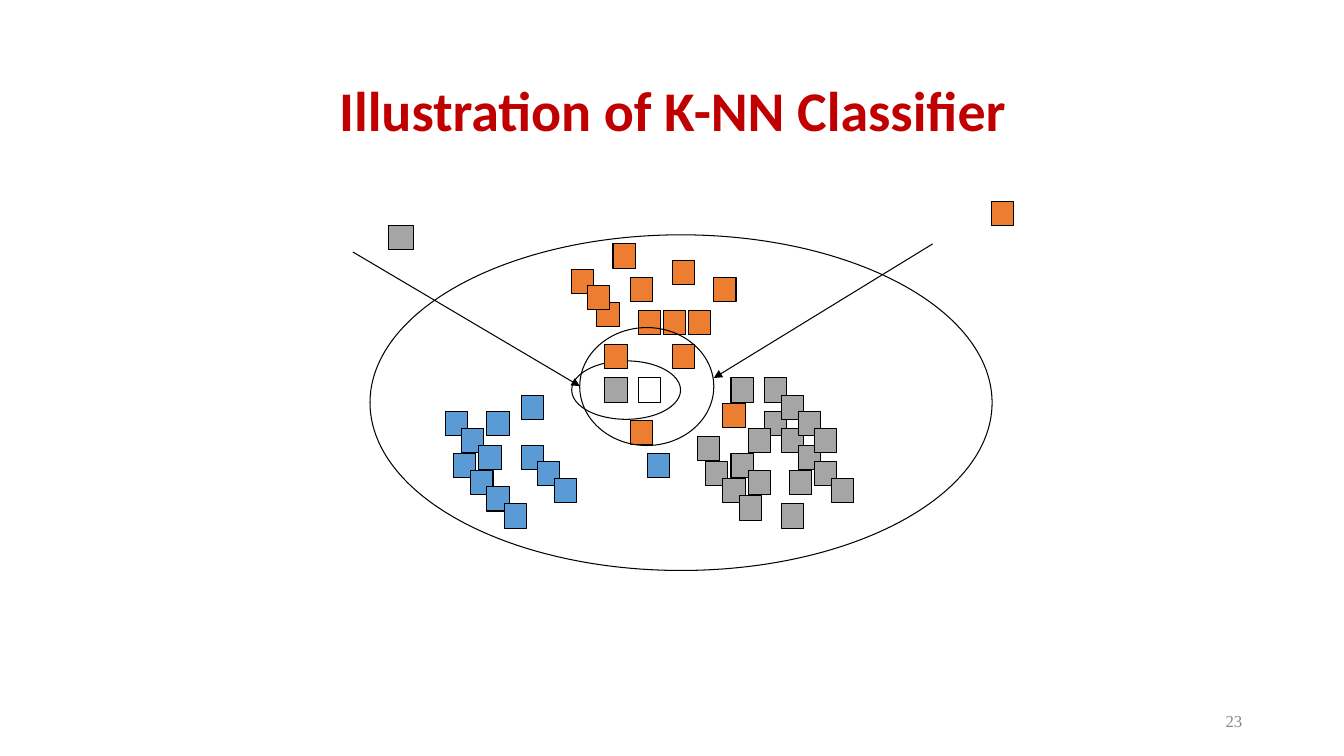
from pptx import Presentation
from pptx.dml.color import RGBColor
from pptx.enum.shapes import MSO_CONNECTOR, MSO_SHAPE
from pptx.enum.text import MSO_ANCHOR, PP_ALIGN
from pptx.oxml.ns import qn
from pptx.util import Inches, Pt
from lxml.etree import SubElement

BLACK = RGBColor(0x00, 0x00, 0x00)
RED = RGBColor(0xC0, 0x00, 0x00)
BLUE = RGBColor(0x5B, 0x9B, 0xD5)
ORANGE = RGBColor(0xED, 0x7D, 0x31)
GREY = RGBColor(0xA5, 0xA5, 0xA5)
NUMBER_GREY = RGBColor(0x89, 0x89, 0x89)
SAMPLE_W, SAMPLE_H = 0.22, 0.24


def add_outlined(shapes, preset, left, top, width, height, fill=None):
    shape = shapes.add_shape(preset, Inches(left), Inches(top), Inches(width), Inches(height))
    shape.shadow.inherit = False
    if fill is None:
        shape.fill.background()
    else:
        shape.fill.solid()
        shape.fill.fore_color.rgb = fill
    shape.line.color.rgb = BLACK
    shape.line.width = Pt(0.75)


def add_arrow(shapes, x1, y1, x2, y2):
    arrow = shapes.add_connector(MSO_CONNECTOR.STRAIGHT, Inches(x1), Inches(y1), Inches(x2), Inches(y2))
    arrow.line.color.rgb = BLACK
    arrow.line.width = Pt(0.75)
    properties = arrow._element.spPr
    SubElement(properties.find(qn("a:ln")), qn("a:tailEnd"), type="triangle")
    SubElement(properties, qn("a:effectLst"))


prs = Presentation()
prs.slide_width, prs.slide_height = Inches(13.33), Inches(7.5)
slide = prs.slides.add_slide(prs.slide_layouts[5])

# Title
title = slide.shapes.title
title.left, title.top, title.width, title.height = Inches(0.92), Inches(0.4), Inches(11.5), Inches(1.45)
title.text_frame.text = "Illustration of K-NN Classifier"
title.text_frame.vertical_anchor = MSO_ANCHOR.MIDDLE
heading = title.text_frame.paragraphs[0]
heading.alignment = PP_ALIGN.CENTER
heading.line_spacing = 0.9
heading.font.name = "Calibri"
heading.font.size = Pt(40)
heading.font.bold = True
heading.font.color.rgb = RED

# Slide number
page_number = slide.shapes.add_textbox(Inches(9.42), Inches(6.95), Inches(3), Inches(0.4)).text_frame
page_number.word_wrap = True
page_number.vertical_anchor = MSO_ANCHOR.MIDDLE
page_number.text = "23"
number = page_number.paragraphs[0]
number.alignment = PP_ALIGN.RIGHT
number.font.name = "Times New Roman"
number.font.size = Pt(12)
number.font.color.rgb = NUMBER_GREY

# Nearest neighbour: inner ellipse and its arrow
nearest = slide.shapes.add_group_shape().shapes
add_outlined(nearest, MSO_SHAPE.OVAL, 5.67, 3.58, 1.08, 0.58)
add_arrow(nearest, 3.5, 2.5, 5.75, 3.83)

# Unclassified sample
add_outlined(slide.shapes, MSO_SHAPE.RECTANGLE, 6.33, 3.75, SAMPLE_W, SAMPLE_H)

# Feature space with the three classes of samples
feature_space = slide.shapes.add_group_shape().shapes
add_outlined(feature_space, MSO_SHAPE.OVAL, 3.67, 2.33, 6.17, 3.33)
classes = {
    BLUE: [(4.42, 4.08), (4.5, 4.5), (5.17, 4.42), (4.83, 4.08), (4.58, 4.25), (4.67, 4.67),
           (5.33, 4.58), (5.17, 3.92), (4.75, 4.42), (4.83, 4.83), (5.5, 4.75), (6.42, 4.5),
           (5, 5)],
    ORANGE: [(6.83, 3.08), (5.67, 2.67), (6.08, 2.42), (5.92, 3), (5.83, 2.83), (6.67, 2.58),
             (6, 3.42), (7.08, 2.75), (6.58, 3.08), (6.25, 2.75), (6.33, 3.08), (6.25, 4.17),
             (6.67, 3.42), (7.17, 4)],
    GREY: [(7.25, 3.75), (6.92, 4.33), (7.58, 4.08), (7.58, 3.75), (7, 4.58), (6, 3.75),
           (7.42, 4.25), (7.75, 4.25), (7.75, 3.92), (7.17, 4.75), (7.92, 4.42), (7.25, 4.5),
           (7.83, 4.67), (7.92, 4.08), (7.33, 4.92), (7.42, 4.67), (8.08, 4.58), (8.08, 4.25),
           (7.75, 5), (8.25, 4.75)],
}
for colour, samples in classes.items():
    for left, top in samples:
        add_outlined(feature_space, MSO_SHAPE.RECTANGLE, left, top, SAMPLE_W, SAMPLE_H, colour)

# Resulting class beside each arrow
add_outlined(slide.shapes, MSO_SHAPE.RECTANGLE, 3.85, 2.24, 0.25, SAMPLE_H, GREY)
add_outlined(slide.shapes, MSO_SHAPE.RECTANGLE, 9.83, 2, SAMPLE_W, SAMPLE_H, ORANGE)

# Wider neighbourhood: outer ellipse and its arrow
neighbourhood = slide.shapes.add_group_shape().shapes
add_outlined(neighbourhood, MSO_SHAPE.OVAL, 5.75, 3.25, 1.33, 1.17)
add_arrow(neighbourhood, 9.25, 2.42, 7.08, 3.75)

prs.save("out.pptx")
